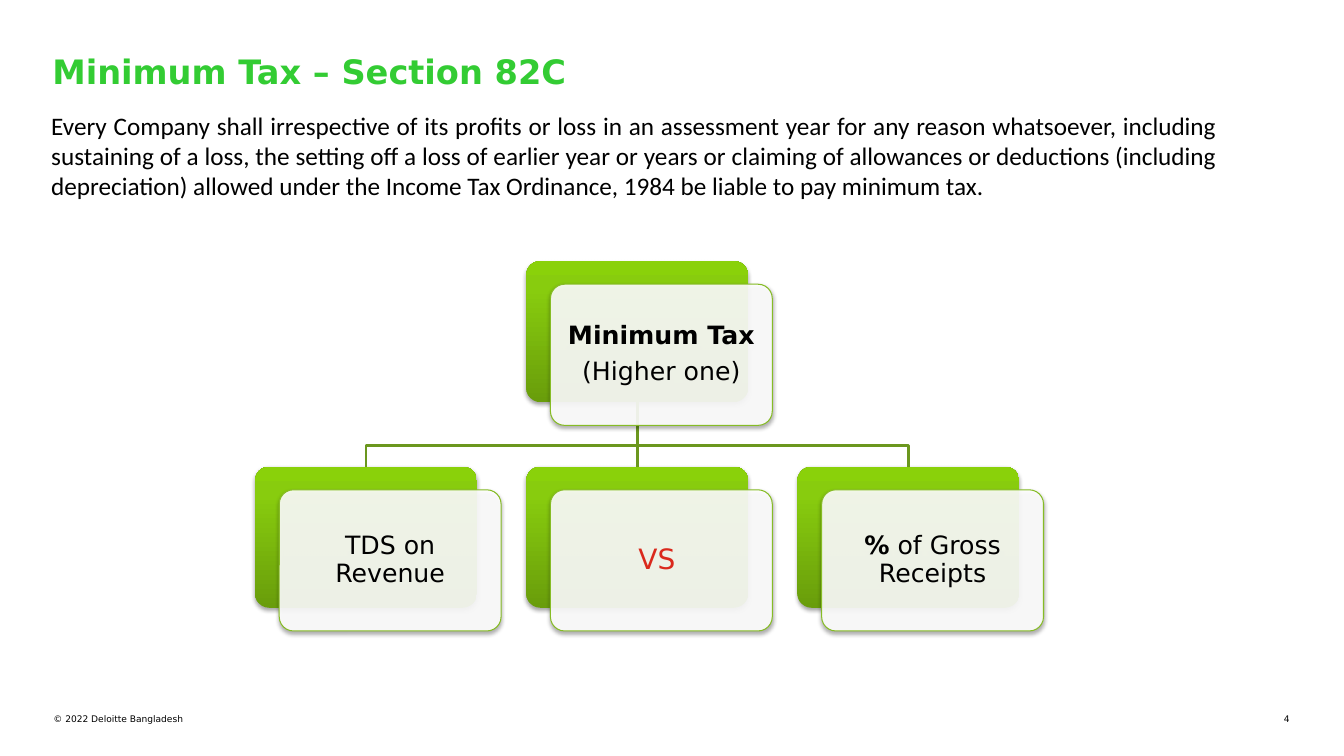
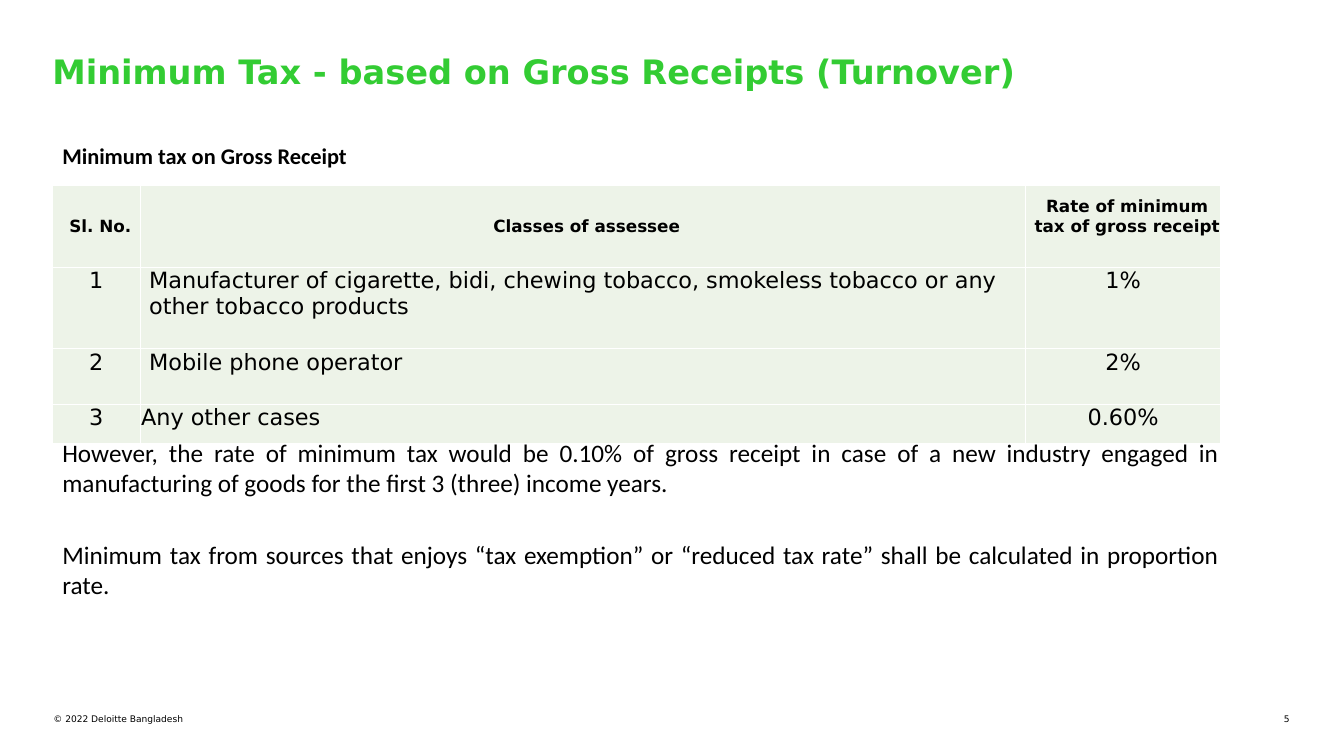
from copy import deepcopy

from lxml import etree
from pptx import Presentation
from pptx.dml.color import RGBColor
from pptx.enum import shapes, text
from pptx.oxml import ns
from pptx.util import Inches, Pt

TITLE_GREEN = RGBColor(0x33, 0xCC, 0x33)
LINK_GREEN = RGBColor(0x6B, 0x97, 0x1E)
EDGE_GREEN = RGBColor(0x86, 0xBC, 0x25)
GRADIENT = [(0, RGBColor(0x69, 0x9D, 0x0B)), (0.8, RGBColor(0x88, 0xCC, 0x0E)),
            (1, RGBColor(0x8A, 0xD1, 0x0A))]
CELL_GREEN = RGBColor(0xED, 0xF3, 0xE8)
RED = RGBColor(0xDA, 0x29, 0x1C)
BLACK = RGBColor(0, 0, 0)
WHITE = RGBColor(0xFF, 0xFF, 0xFF)

HEAD_FONT, BODY_FONT = "DejaVu Sans", "Calibri"
LEFT, CENTER, RIGHT, JUSTIFY = (text.PP_ALIGN.LEFT, text.PP_ALIGN.CENTER,
                                text.PP_ALIGN.RIGHT, text.PP_ALIGN.JUSTIFY)
TOP, MIDDLE = text.MSO_ANCHOR.TOP, text.MSO_ANCHOR.MIDDLE
CARD_W, CARD_H = 2.2, 1.4


def add_xml(parent, tag, **attrs):
    return etree.SubElement(parent, ns.qn(tag), attrs)


def write(tf, content, size=18, font=HEAD_FONT, color=BLACK, bold=False,
          align=LEFT, line=None, after=None):
    """Fill a frame from a string, or from paragraphs made of (text, bold) runs."""
    paragraphs = [[(content, bold)]] if isinstance(content, str) else content
    for i, runs in enumerate(paragraphs):
        p = tf.add_paragraph() if i else tf.paragraphs[0]
        p.alignment = align
        if line:
            p.line_spacing = line
        if after:
            p.space_after = Pt(after)
        for words, is_bold in runs:
            r = p.add_run()
            r.text = words
            r.font.size, r.font.name, r.font.bold = Pt(size), font, is_bold
            r.font.color.rgb = color


def set_insets(frame, left, top, right, bottom):
    """Set the margins of a text frame or a table cell."""
    frame.margin_left, frame.margin_top = Inches(left), Inches(top)
    frame.margin_right, frame.margin_bottom = Inches(right), Inches(bottom)


class Deck:
    def __init__(self):
        self.prs = Presentation()
        self.prs.slide_width, self.prs.slide_height = Inches(13.33), Inches(7.5)
        self.s = None

    def slide(self, title, number):
        self.s = self.prs.slides.add_slide(self.prs.slide_layouts[6])
        self.text(0.53, 7.08, 5.86, 0.11, "© 2022 Deloitte Bangladesh", inset=0, size=6.5)
        self.text(12.45, 7.08, 0.34, 0.11, str(number), inset=0, size=6.5, align=RIGHT)
        self.text(0.52, 0.51, 11.5, 0.74, title, inset=0, size=24, bold=True,
                  color=TITLE_GREEN)

    def text(self, x, y, w, h, content, inset=None, **style):
        tf = self.s.shapes.add_textbox(Inches(x), Inches(y), Inches(w), Inches(h)).text_frame
        tf.word_wrap = True
        if inset is not None:
            set_insets(tf, inset, inset, inset, inset)
        write(tf, content, **style)

    def body(self, x, y, w, h, content, **style):
        self.text(x, y, w, h, content, **{"font": BODY_FONT, "align": JUSTIFY, **style})

    def rounded(self, x, y):
        """Rounded box with a soft shadow below it."""
        sp = self.s.shapes.add_shape(shapes.MSO_SHAPE.ROUNDED_RECTANGLE, Inches(x),
                                     Inches(y), Inches(CARD_W), Inches(CARD_H))
        sp.adjustments[0] = 0.1
        sp.shadow.inherit = False
        effects = sp._element.spPr.find(ns.qn("a:effectLst"))
        shadow = add_xml(effects, "a:outerShdw", blurRad=str(Pt(3.1)), dist=str(Pt(1.8)),
                         dir="5400000", rotWithShape="0")
        add_xml(add_xml(shadow, "a:srgbClr", val="000000"), "a:alpha", val="35000")
        return sp

    def back(self, x, y):
        sp = self.rounded(x, y)
        sp.line.fill.background()
        sp.fill.gradient()
        sp.fill.gradient_angle = 90
        stop_list = sp._element.spPr.find(".//" + ns.qn("a:gsLst"))
        stop_list.append(deepcopy(stop_list[-1]))
        for stop, (position, color) in zip(sp.fill.gradient_stops, GRADIENT):
            stop.position, stop.color.rgb = position, color
        return sp

    def card(self, x, y, content, size=18, color=BLACK):
        sp = self.rounded(x, y)
        sp.fill.solid()
        sp.fill.fore_color.rgb = WHITE
        rgb = sp._element.spPr.find(ns.qn("a:solidFill"))[0]
        add_xml(rgb, "a:alpha", val="90000")
        sp.line.color.rgb, sp.line.width = EDGE_GREEN, Pt(0.75)
        tf = sp.text_frame
        tf.word_wrap, tf.vertical_anchor = True, MIDDLE
        set_insets(tf, 0.07, 0.07, 0.07, 0.07)
        write(tf, content, size=size, color=color, align=CENTER, line=0.9,
              after=0.35 * size)

    def straight_link(self, parent, child):
        link = self.s.shapes.add_connector(shapes.MSO_CONNECTOR.STRAIGHT, 0, 0, 0, 0)
        link.begin_connect(parent, 2)
        link.end_connect(child, 0)
        link.line.color.rgb, link.line.width = LINK_GREEN, Pt(2)
        add_xml(link._element.spPr, "a:effectLst")

    def bent_link(self, parent, child):
        x1, y1 = parent.left + parent.width // 2, parent.top + parent.height
        x2, y2 = child.left + child.width // 2, child.top
        bend = y2 - Inches(0.21)
        builder = self.s.shapes.build_freeform(x1, y1)
        builder.add_line_segments([(x1, bend), (x2, bend), (x2, y2)], close=False)
        sp = builder.convert_to_shape()
        sp.shadow.inherit = False
        sp.fill.background()
        sp.line.color.rgb, sp.line.width = LINK_GREEN, Pt(2)

    def table(self, x, y, widths, heights, rows):
        table = self.s.shapes.add_table(
            len(rows), len(widths), Inches(x), Inches(y),
            Inches(sum(widths)), Inches(sum(heights))).table
        for column, w in zip(table.columns, widths):
            column.width = Inches(w)
        for row, h in zip(table.rows, heights):
            row.height = Inches(h)
        for i, row in enumerate(rows):
            for j, content in enumerate(row):
                self.cell(table.cell(i, j), content, header=i == 0, centered=i == 0 or j != 1)
        return table

    def cell(self, cell, content, header, centered):
        tc_pr = cell._tc.get_or_add_tcPr()
        for side in "LRTB":
            border = add_xml(tc_pr, "a:ln" + side, w=str(Pt(1)))
            add_xml(add_xml(border, "a:solidFill"), "a:srgbClr", val=str(WHITE))
        cell.fill.solid()
        cell.fill.fore_color.rgb = CELL_GREEN
        cell.vertical_anchor = MIDDLE if header else TOP
        set_insets(cell, 0.09 if header or not centered else 0.01, 0.01, 0.01, 0)
        write(cell.text_frame, content, size=12 if header else 16, bold=header,
              align=CENTER if centered else LEFT)


def section_slide(deck):
    deck.slide("Minimum Tax – Section 82C", 4)
    deck.body(0.41, 1.04, 11.76, 1.01,
              "Every Company shall irrespective of its profits or loss in an assessment year "
              "for any reason whatsoever, including sustaining of a loss, the setting off a "
              "loss of earlier year or years or claiming of allowances or deductions "
              "(including depreciation) allowed under the Income Tax Ordinance, 1984 be "
              "liable to pay minimum tax.")
    middle, step, top, bottom = 5.22, 2.69, 2.59, 4.63
    columns = [middle - step, middle, middle + step]
    root = deck.back(middle, top)
    left, center, right = [deck.back(x, bottom) for x in columns]
    deck.bent_link(root, right)
    deck.straight_link(root, center)
    deck.bent_link(root, left)

    dx, dy = 0.24, 0.23
    deck.card(middle + dx, top + dy, [[("Minimum Tax", True)], [("(Higher one)", False)]])
    leaves = [("TDS on Revenue", {}), ("VS ", {"size": 20, "color": RED}),
              ([[("%", True), (" of Gross Receipts", False)]], {})]
    for x, (content, style) in zip(columns, leaves):
        deck.card(x + dx, bottom + dy, content, **style)


def receipts_slide(deck):
    deck.slide("Minimum Tax - based on Gross Receipts (Turnover)", 5)
    deck.body(0.52, 1.36, 6.66, 0.37, "Minimum tax on Gross Receipt", size=16, bold=True,
              align=LEFT)
    table = deck.table(0.52, 1.84, [0.87, 8.78, 1.94], [0.81, 0.81, 0.55, 0.39], [
        ["Sl. No.", "Classes of assessee", "Rate of minimum tax of gross receipt"],
        ["1", "Manufacturer of cigarette, bidi, chewing tobacco, smokeless tobacco or any "
              "other tobacco products", "1%"],
        ["2", "Mobile phone operator", "2%"],
        ["3", "Any other cases", "0.60%"],
    ])
    table.cell(0, 2).margin_bottom = Inches(0.2)
    last_class = table.cell(3, 1)
    last_class.margin_left = Inches(0.01)
    last_class.text_frame.paragraphs[0].alignment = JUSTIFY
    deck.body(0.52, 4.29, 11.67, 0.71,
              "However, the rate of minimum tax would be 0.10% of gross receipt in case of a "
              "new industry engaged in manufacturing of goods for the first 3 (three) "
              "income years.")
    deck.body(0.52, 5.3, 11.67, 0.71,
              "Minimum tax from sources that enjoys “tax exemption” or “reduced tax rate” "
              "shall be calculated in proportion rate.")


def main():
    deck = Deck()
    section_slide(deck)
    receipts_slide(deck)
    deck.prs.save("out.pptx")


if __name__ == "__main__":
    main()
